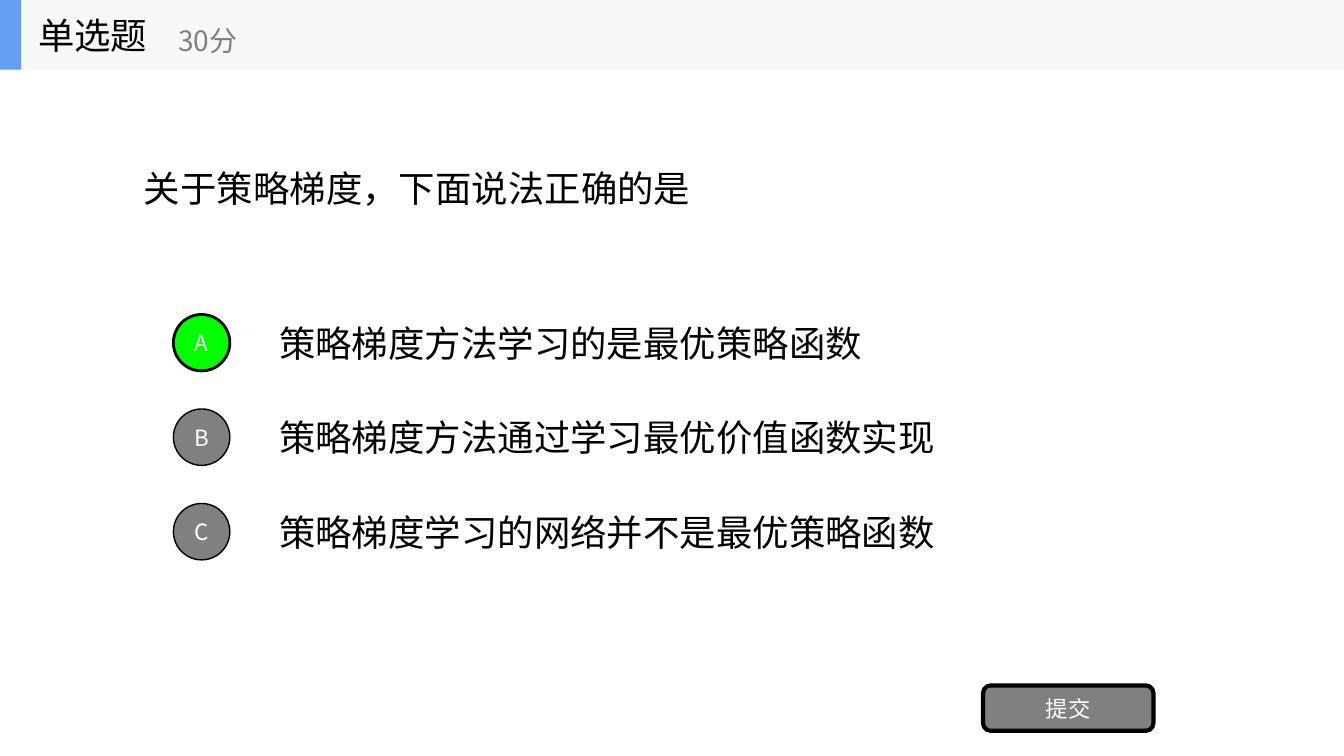
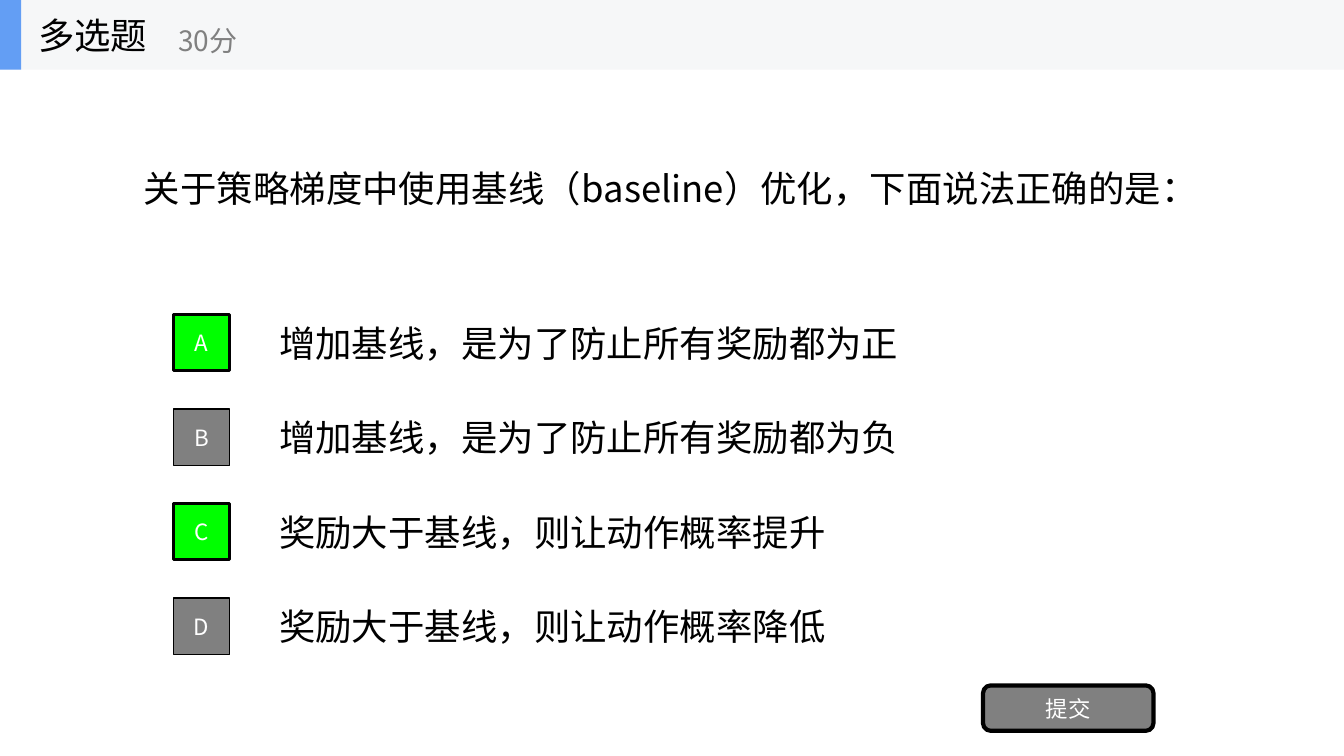
from pptx import Presentation
from pptx.dml.color import RGBColor
from pptx.enum.shapes import MSO_SHAPE
from pptx.enum.text import MSO_ANCHOR, PP_ALIGN
from pptx.oxml.ns import qn
from pptx.util import Inches, Pt
from lxml.etree import SubElement

QUESTIONS = [
    {
        "kind": "单选题",
        "score": "30分",
        "question": "关于策略梯度，下面说法正确的是",
        "marker": MSO_SHAPE.OVAL,
        "answers": "A",
        "options": [
            "策略梯度方法学习的是最优策略函数",
            "策略梯度方法通过学习最优价值函数实现",
            "策略梯度学习的网络并不是最优策略函数",
        ],
    },
    {
        "kind": "多选题",
        "score": "30分",
        "question": "关于策略梯度中使用基线（baseline）优化，下面说法正确的是：",
        "marker": MSO_SHAPE.RECTANGLE,
        "answers": "AC",
        "options": [
            "增加基线，是为了防止所有奖励都为正",
            "增加基线，是为了防止所有奖励都为负",
            "奖励大于基线，则让动作概率提升",
            "奖励大于基线，则让动作概率降低",
        ],
    },
]
SUBMIT = "提交"

FONT = "Noto Sans CJK SC"
BLACK = RGBColor(0x00, 0x00, 0x00)
WHITE = RGBColor(0xFF, 0xFF, 0xFF)
GREY = RGBColor(0x80, 0x80, 0x80)
GREEN = RGBColor(0x00, 0xFF, 0x00)
BAND = RGBColor(0xF6, 0xF7, 0xF8)
ACCENT = RGBColor(0x63, 0x9E, 0xF4)

BODY_SIZE, SCORE_SIZE, BUTTON_SIZE = 26, 20, 16
SLIDE_WIDTH, SLIDE_HEIGHT = 13.33, 7.5
BAND_HEIGHT = 0.69
OPTION_TOP, OPTION_HEIGHT, OPTION_PITCH = 3.05, 0.7, 0.9375
MARKER_LEFT, MARKER_SIZE = 1.72, 0.56


def write(shape, text, size, color, align=PP_ALIGN.LEFT):
    frame = shape.text_frame
    frame.word_wrap = True
    frame.vertical_anchor = MSO_ANCHOR.MIDDLE
    paragraph = frame.paragraphs[0]
    paragraph.alignment = align
    run = paragraph.add_run()
    run.text = text
    run.font.size = Pt(size)
    run.font.name = FONT
    run.font.color.rgb = color
    SubElement(run.font._element, qn("a:ea")).set("typeface", FONT)


def add_text(shapes, box, text, size=BODY_SIZE, color=BLACK):
    write(shapes.add_textbox(*map(Inches, box)), text, size, color)


def add_block(shapes, preset, box, fill, border=0):
    block = shapes.add_shape(preset, *map(Inches, box))
    block.shadow.inherit = False
    block.fill.solid()
    block.fill.fore_color.rgb = fill
    if border:
        block.line.color.rgb = BLACK
        block.line.width = Pt(border)
    else:
        block.line.fill.background()
    return block


def add_button(shapes, preset, box, fill, border, label):
    button = add_block(shapes, preset, box, fill, border)
    frame = button.text_frame
    frame.margin_left = frame.margin_right = 0
    frame.margin_top = frame.margin_bottom = 0
    write(button, label, BUTTON_SIZE, WHITE, PP_ALIGN.CENTER)


def add_header(slide, kind, score):
    header = slide.shapes.add_group_shape().shapes
    add_block(header, MSO_SHAPE.RECTANGLE, (0, 0, SLIDE_WIDTH, BAND_HEIGHT), BAND)
    add_block(header, MSO_SHAPE.RECTANGLE, (0, 0, 0.21, BAND_HEIGHT), ACCENT)
    add_text(header, (0.28, 0, 2.08, BAND_HEIGHT), kind)
    add_text(header, (1.67, 0.12, 2.5, 0.56), score, SCORE_SIZE, GREY)


def add_option(slide, index, text, marker, answers):
    letter = "ABCD"[index]
    correct = letter in answers
    top = OPTION_TOP + index * OPTION_PITCH
    marker_top = top + (OPTION_HEIGHT - MARKER_SIZE) / 2
    add_text(slide.shapes, (2.67, top, 9.33, OPTION_HEIGHT), text)
    add_button(
        slide.shapes, marker,
        (MARKER_LEFT, marker_top, MARKER_SIZE, MARKER_SIZE),
        GREEN if correct else GREY, 2 if correct else 1, letter,
    )


def add_question(deck, item):
    slide = deck.slides.add_slide(deck.slide_layouts[6])
    add_text(slide.shapes, (1.33, BAND_HEIGHT, 10.67, 2.34), item["question"])
    for index, text in enumerate(item["options"]):
        add_option(slide, index, text, item["marker"], item["answers"])
    add_button(slide.shapes, MSO_SHAPE.ROUNDED_RECTANGLE,
               (9.75, 6.8, 1.69, 0.45), GREY, 3, SUBMIT)
    add_header(slide, item["kind"], item["score"])


def main():
    deck = Presentation()
    deck.slide_width = Inches(SLIDE_WIDTH)
    deck.slide_height = Inches(SLIDE_HEIGHT)
    for item in QUESTIONS:
        add_question(deck, item)
    deck.save("out.pptx")


if __name__ == "__main__":
    main()
